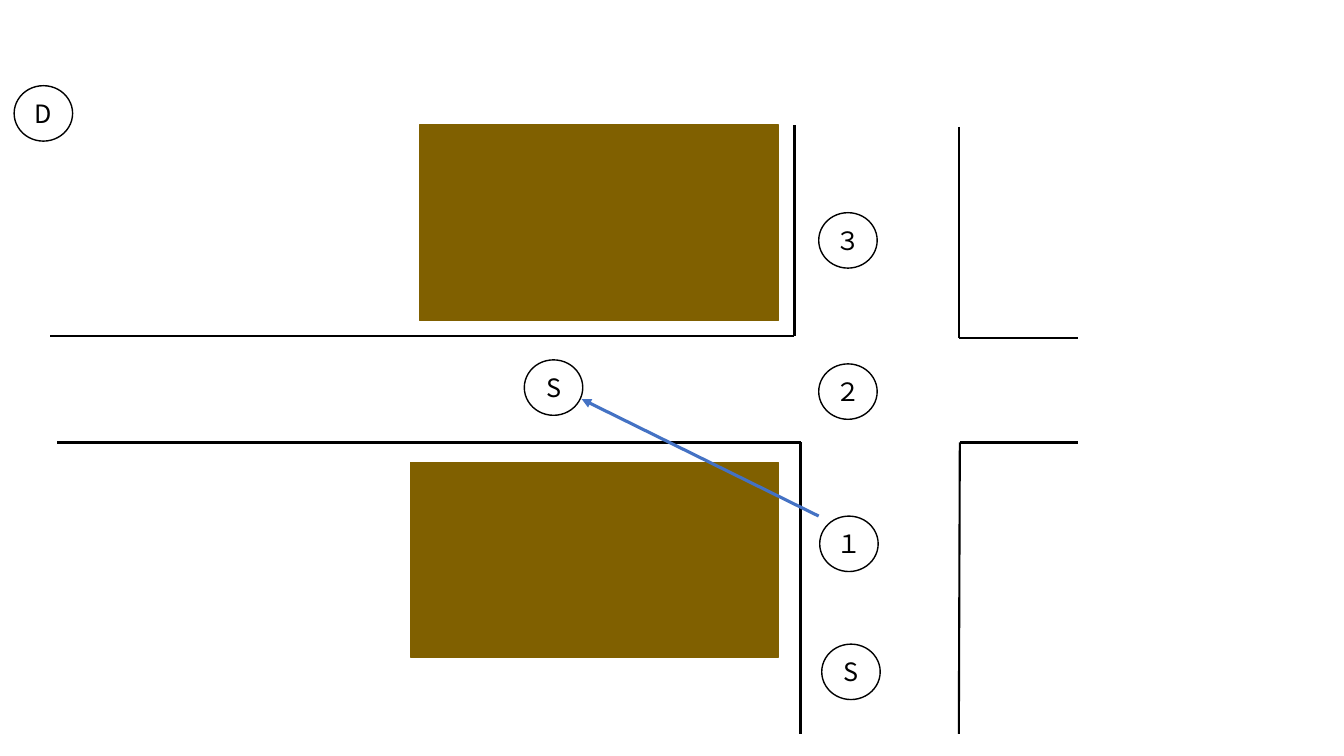
from pptx import Presentation
from pptx.dml.color import RGBColor
from pptx.enum.shapes import MSO_CONNECTOR as CONN, MSO_SHAPE as SHAPE
from pptx.enum.text import MSO_ANCHOR as ANCHOR, PP_ALIGN as ALIGN
from pptx.oxml.ns import qn
from pptx.util import Inches, Pt
from lxml.etree import SubElement

FONT = "Noto Sans CJK JP"
BLACK, WHITE, BROWN, BLUE = "000000", "FFFFFF", "806000", "4472C4"

# Road edges, each a chain of points
ROAD_EDGES = [
    [(0.5, 3.33), (7.88, 3.33), (7.88, 1.24)],
    [(0.57, 4.39), (7.94, 4.39), (7.94, 7.28)],
    [(9.51, 7.28), (9.52, 4.39), (10.69, 4.39)],
    [(9.51, 1.26), (9.51, 3.35), (10.69, 3.35)],
]
# Buildings: left, top, width, height
BUILDINGS = [(4.07, 4.59, 3.65, 1.93), (4.16, 1.24, 3.56, 1.94)]
# Nodes: label, left, top
NODE_SIZE = (0.58, 0.55)
NODES = [
    ("S", 8.15, 6.39),
    ("D", 0.14, 0.85),
    ("１", 8.13, 5.12),
    ("２", 8.12, 3.61),
    ("３", 8.12, 2.11),
    ("S", 5.2, 3.57),
]
SIGNAL = ((8.12, 5.12), (5.77, 3.96))


def rgb(color):
    return RGBColor.from_string(color)


def add_line(s, start, end, color, width):
    points = [Inches(v) for v in (*start, *end)]
    line = s.shapes.add_connector(CONN.STRAIGHT, *points)
    line.line.color.rgb = rgb(color)
    line.line.width = Pt(width)
    SubElement(line._element.spPr, qn("a:effectLst"))
    return line


def add_block(s, kind, box, fill, outline):
    sp = s.shapes.add_shape(kind, *[Inches(v) for v in box])
    sp.shadow.inherit = False
    sp.fill.solid()
    sp.fill.fore_color.rgb = rgb(fill)
    sp.line.color.rgb = rgb(outline)
    sp.line.width = Pt(1)
    return sp


def add_node(s, label, left, top):
    sp = add_block(s, SHAPE.OVAL, (left, top, *NODE_SIZE), WHITE, BLACK)
    tf = sp.text_frame
    tf.margin_left = tf.margin_right = tf.margin_top = tf.margin_bottom = 0
    tf.vertical_anchor = ANCHOR.MIDDLE
    p = tf.paragraphs[0]
    p.alignment = ALIGN.CENTER
    r = p.add_run()
    r.text = label
    r.font.size = Pt(18)
    r.font.name = FONT
    r.font.color.rgb = rgb(BLACK)
    SubElement(r._r.get_or_add_rPr(), qn("a:ea"), typeface=FONT)


def main():
    prs = Presentation()
    prs.slide_width, prs.slide_height = Inches(13.33), Inches(7.5)
    s = prs.slides.add_slide(prs.slide_layouts[6])

    # Roads
    for edge in ROAD_EDGES:
        for start, end in zip(edge, edge[1:]):
            add_line(s, start, end, BLACK, 1.5)

    # Buildings and nodes
    for box in BUILDINGS:
        add_block(s, SHAPE.RECTANGLE, box, BROWN, BROWN)
    for node in NODES:
        add_node(s, *node)

    # Signal arrow
    arrow = add_line(s, *SIGNAL, BLUE, 2.25)
    SubElement(arrow.line._get_or_add_ln(), qn("a:tailEnd"), type="triangle")

    prs.save("out.pptx")


if __name__ == "__main__":
    main()
